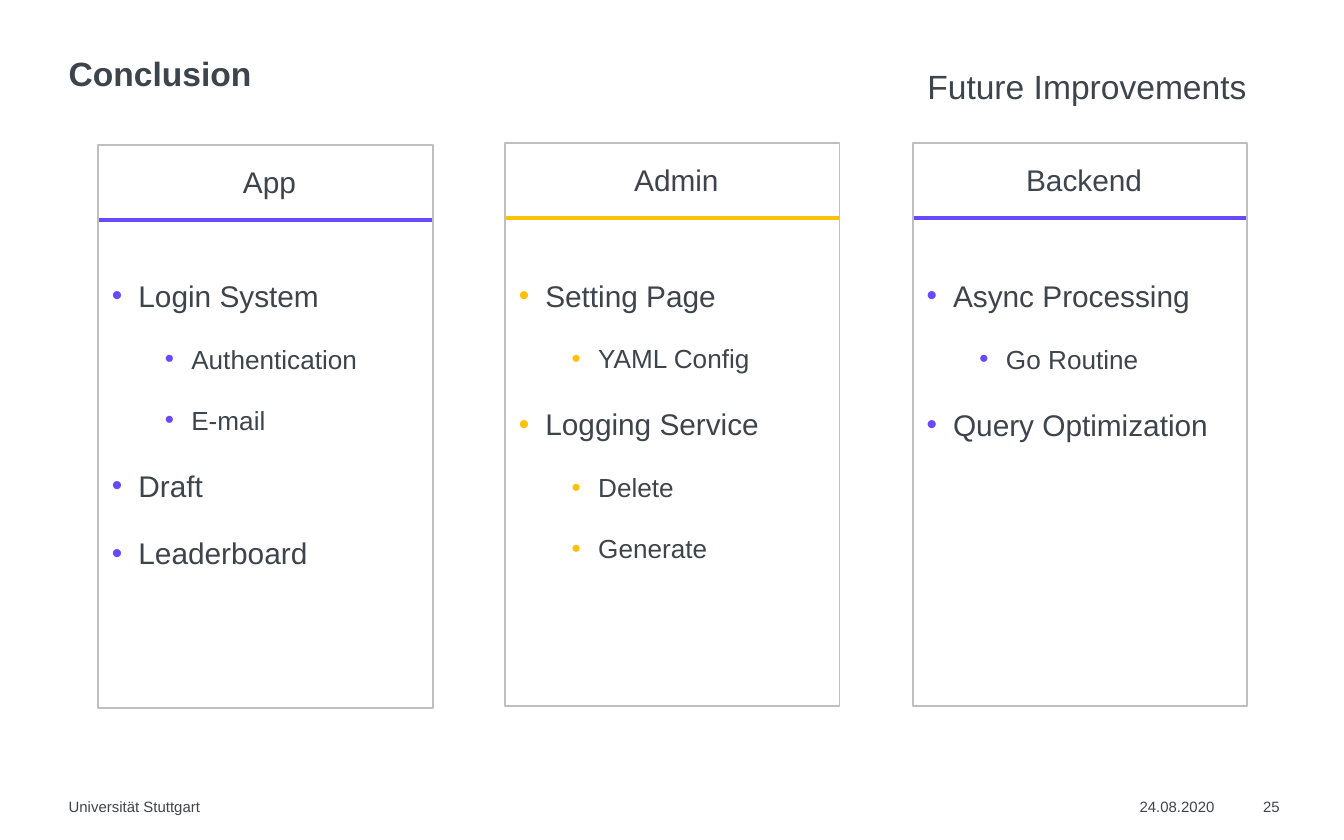
from dataclasses import dataclass
from typing import Any

import pptx
import pptx.dml.color
import pptx.enum.shapes
import pptx.enum.text
import pptx.oxml.ns
import pptx.util
from lxml import etree

Pt = pptx.util.Pt
qn = pptx.oxml.ns.qn
ALIGN = pptx.enum.text.PP_ALIGN
ANCHOR = pptx.enum.text.MSO_ANCHOR
RECTANGLE = pptx.enum.shapes.MSO_SHAPE.RECTANGLE

COLORS = {
    "text": "3E444C",
    "white": "FFFFFF",
    "border": "BFBFBF",
    "violet": "6949FF",
    "amber": "FFC107",
}
FRAME_FORMAT = {
    "margin_left": 0, "margin_right": 0, "margin_top": 0, "margin_bottom": 0,
    "word_wrap": True,
    "auto_size": pptx.enum.text.MSO_AUTO_SIZE.NONE,
    "vertical_anchor": ANCHOR.TOP,
}
CARD_WIDTH, CARD_HEIGHT = 179.2, 301.6
ITEM_SIZES = (16, 14)
ITEM_MARGINS = (14.17, 42.5)
ITEM_HANGING = 14.17


@dataclass
class Card:
    heading: str
    left: float
    top: float
    accent: str
    list_width: float
    list_height: float
    items: list[tuple[int, str]]  # level, text


@dataclass
class FooterField:
    text: str
    left: float
    width: float
    alignment: Any = ALIGN.LEFT


CARDS = [
    Card("App", 52.6, 77.8, "violet", 188, 248,
         [(0, "Login System"), (1, "Authentication"), (1, "E-mail"),
          (0, "Draft"), (0, "Leaderboard")]),
    Card("Admin", 270.6, 76.6, "amber", 188, 238,
         [(0, "Setting Page"), (1, "YAML Config"), (0, "Logging Service"),
          (1, "Delete"), (1, "Generate")]),
    Card("Backend", 489, 76.6, "violet", 195, 137,
         [(0, "Async Processing"), (1, "Go Routine"), (0, "Query Optimization")]),
]
FOOTER = [
    FooterField("24.08.2020", 610.5, 42),
    FooterField("Universität Stuttgart", 36.8, 477),
    FooterField("25", 668, 17.6, ALIGN.RIGHT),
]


def color(name: str) -> Any:
    return pptx.dml.color.RGBColor.from_string(COLORS[name])


def apply(target: Any, values: dict[str, Any]) -> None:
    for name, value in values.items():
        setattr(target, name, value)


def place(shape: Any, left: float, top: float, width: float, height: float) -> None:
    apply(shape, {"left": Pt(left), "top": Pt(top),
                  "width": Pt(width), "height": Pt(height)})


def write(paragraph: Any, text: str, size: float, bold: bool = False,
          **layout: Any) -> None:
    paragraph.text = text
    apply(paragraph, {"alignment": ALIGN.LEFT, "space_before": Pt(0), **layout})
    font = paragraph.runs[0].font
    apply(font, {"name": "Arial", "size": Pt(size), "bold": bold})
    font.color.rgb = color("text")


def set_indent(paragraph: Any, margin: float, hanging: float) -> Any:
    properties = paragraph._p.get_or_add_pPr()
    properties.set("marL", str(int(Pt(margin))))
    properties.set("indent", str(-int(Pt(hanging))))
    return properties


def add_bullet(paragraph: Any, level: int, accent: str) -> None:
    properties = set_indent(paragraph, ITEM_MARGINS[level], ITEM_HANGING)
    bullet_color = etree.SubElement(properties, qn("a:buClr"))
    etree.SubElement(bullet_color, qn("a:srgbClr"), val=COLORS[accent])
    etree.SubElement(properties, qn("a:buFont"), typeface="Arial")
    etree.SubElement(properties, qn("a:buChar"), char="•")


def add_text_frame(slide: Any, left: float, top: float,
                   width: float, height: float) -> Any:
    box = slide.shapes.add_textbox(Pt(left), Pt(top), Pt(width), Pt(height))
    apply(box.text_frame, FRAME_FORMAT)
    return box.text_frame


def add_rectangle(slide: Any, left: float, top: float,
                  width: float, height: float) -> Any:
    shape = slide.shapes.add_shape(RECTANGLE, Pt(left), Pt(top), Pt(width), Pt(height))
    shape.shadow.inherit = False
    return shape


def add_card(slide: Any, card: Card) -> None:
    # Heading
    heading = add_rectangle(slide, card.left + 16.2, card.top + 7.4, 151.2, 24.5)
    heading.fill.solid()
    heading.fill.fore_color.rgb = color("white")
    heading.line.fill.background()
    heading.text_frame.vertical_anchor = ANCHOR.MIDDLE
    write(heading.text_frame.paragraphs[0], card.heading, 16, alignment=ALIGN.CENTER)

    # Accent line
    line_top = Pt(card.top + 40)
    accent_line = slide.shapes.add_connector(
        pptx.enum.shapes.MSO_CONNECTOR.STRAIGHT,
        Pt(card.left), line_top, Pt(card.left + CARD_WIDTH), line_top)
    accent_line.line.color.rgb = color(card.accent)
    accent_line.line.width = Pt(2)
    etree.SubElement(accent_line._element.spPr, qn("a:effectLst"))

    # Border
    border = add_rectangle(slide, card.left, card.top, CARD_WIDTH, CARD_HEIGHT)
    border.fill.background()
    border.line.color.rgb = color("border")
    border.line.width = Pt(1)

    # List
    frame = add_text_frame(slide, card.left + 7.4, 139, card.list_width, card.list_height)
    for index, (level, text) in enumerate(card.items):
        paragraph = frame.add_paragraph() if index else frame.paragraphs[0]
        add_bullet(paragraph, level, card.accent)
        write(paragraph, text, ITEM_SIZES[level], level=level, line_spacing=1.5,
              space_before=Pt(7.5 if index else 0))


def main() -> None:
    presentation = pptx.Presentation()
    apply(presentation, {"slide_width": Pt(720), "slide_height": Pt(450)})
    slide = presentation.slides.add_slide(presentation.slide_layouts[1])

    # Title and subtitle
    title, subtitle = slide.shapes.title, slide.placeholders[1]
    place(title, 36.8, 31, 649.4, 45.4)
    place(subtitle, 496.8, 31, 223.2, 21.6)
    for shape in (title, subtitle):
        apply(shape.text_frame, FRAME_FORMAT)
    write(title.text_frame.paragraphs[0], "Conclusion", 18, bold=True, line_spacing=0.9)
    subtitle_paragraph = subtitle.text_frame.paragraphs[0]
    etree.SubElement(set_indent(subtitle_paragraph, 0, 0), qn("a:buNone"))
    write(subtitle_paragraph, "Future Improvements", 18, line_spacing=1.2)

    # Cards
    for card in CARDS:
        add_card(slide, card)

    # Footer
    for field in FOOTER:
        frame = add_text_frame(slide, field.left, 427, field.width, 10)
        write(frame.paragraphs[0], field.text, 8, alignment=field.alignment)

    presentation.save("out.pptx")


if __name__ == "__main__":
    main()
